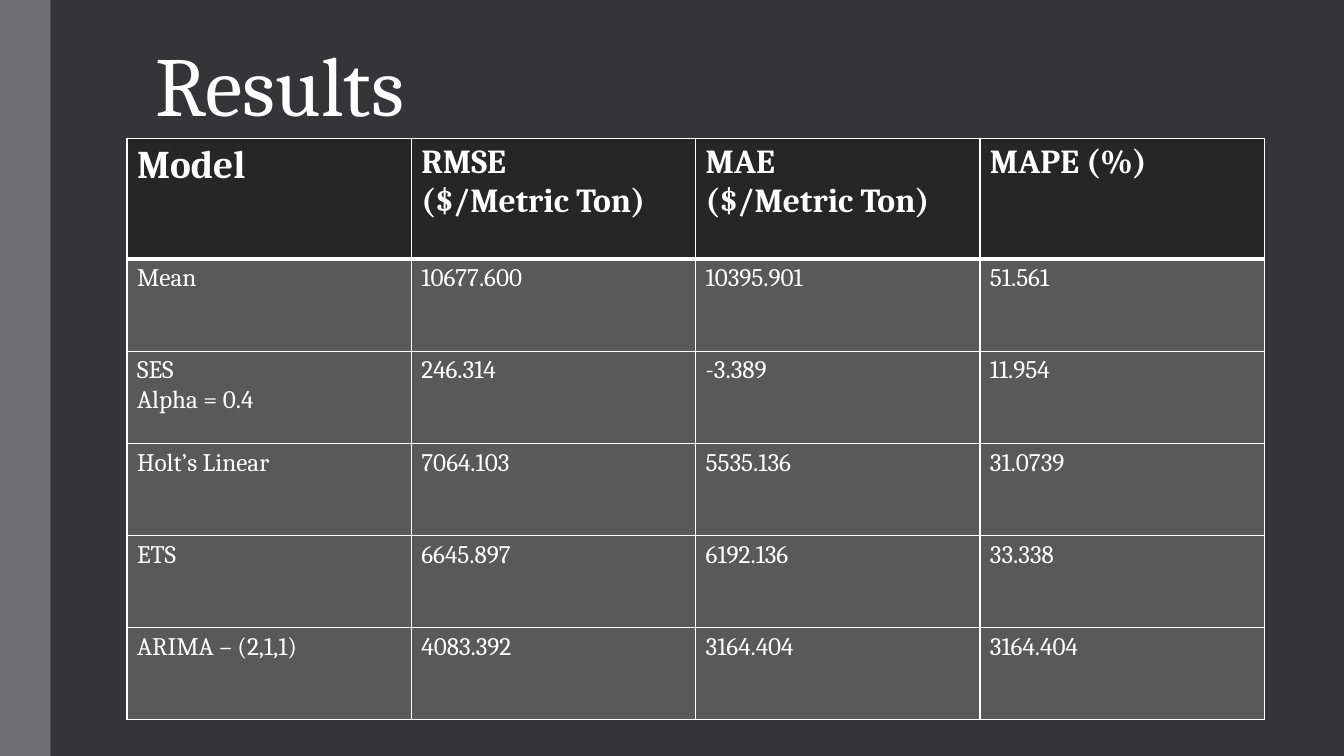
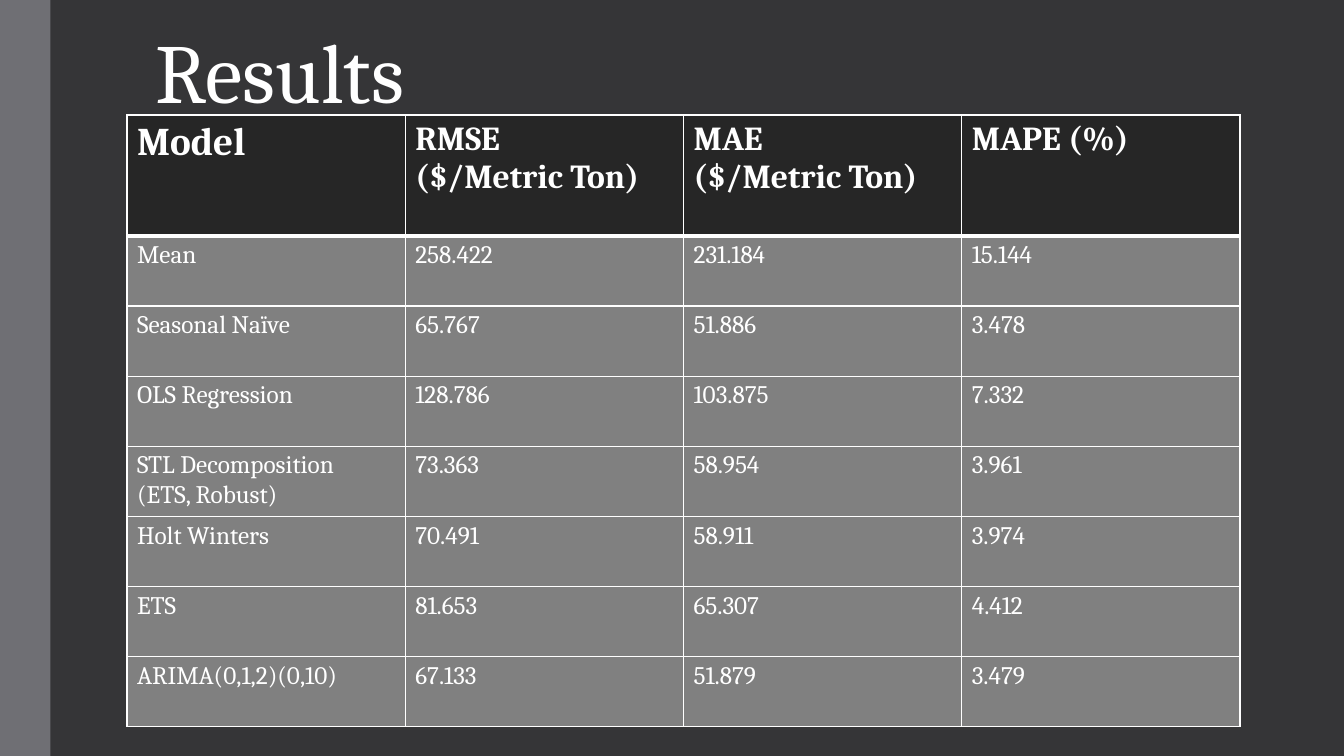
import pptx
import pptx.dml.color
import pptx.enum.shapes
import pptx.enum.text
import pptx.oxml
import pptx.oxml.ns
import pptx.util

COLORS = {
    "background": "353537",
    "band": "6F6F74",
    "header": "262626",
    "dark_body": "595959",
    "light_body": "808080",
    "white": "FFFFFF",
}
FONT = "Cambria"
TITLE_ONLY = 5
SLIDE_WIDTH, SLIDE_HEIGHT = 13.33, 7.5
LEFT = 1.26
TITLE_WIDTH, TITLE_HEIGHT, TITLE_INDENT = 11.81, 1.11, 0.28
HEADER_HEIGHT = 1.2
THIN, THICK = 1, 3

HEADERS = ["Model", "RMSE\n($/Metric Ton)", "MAE\n($/Metric Ton)", "MAPE (%)"]

PRICE_MODELS = [
    ["Mean", "10677.600", "10395.901", "51.561"],
    ["SES\nAlpha = 0.4", "246.314", "-3.389", "11.954"],
    ["Holt’s Linear", "7064.103", "5535.136", "31.0739"],
    ["ETS", "6645.897", "6192.136", "33.338"],
    ["ARIMA – (2,1,1)", "4083.392", "3164.404", "3164.404"],
]

SEASONAL_MODELS = [
    ["Mean", "258.422", "231.184", "15.144"],
    ["Seasonal Naïve", "65.767", "51.886", "3.478"],
    ["OLS Regression", "128.786", "103.875", "7.332"],
    ["STL Decomposition\n(ETS, Robust)", "73.363", "58.954", "3.961"],
    ["Holt Winters", "70.491", "58.911", "3.974"],
    ["ETS", "81.653", "65.307", "4.412"],
    ["ARIMA(0,1,2)(0,10)", "67.133", "51.879", "3.479"],
]


def inches(*lengths):
    return [pptx.util.Inches(length) for length in lengths]


def paint(fill, color):
    fill.solid()
    fill.fore_color.rgb = pptx.dml.color.RGBColor.from_string(COLORS[color])


def write(frame, text, *, size, bold=False, color="white"):
    frame.text = text
    for para in frame.paragraphs:
        para.alignment = pptx.enum.text.PP_ALIGN.LEFT
        for span in para.runs:
            span.font.name = FONT
            span.font.size = pptx.util.Pt(size)
            span.font.bold = bold
            paint(span.font.fill, color)


def set_borders(cell, **widths):
    properties = cell._tc.get_or_add_tcPr()
    for position, side in enumerate("LRTB"):
        width = pptx.util.Pt(widths.get(side, THIN))
        line = pptx.oxml.parse_xml(
            f'<a:ln{side} {pptx.oxml.ns.nsdecls("a")} w="{width}"><a:solidFill>'
            f'<a:srgbClr val="{COLORS["white"]}"/></a:solidFill></a:ln{side}>'
        )
        properties.insert(position, line)


def style_deck(deck):
    paint(deck.slide_master.background.fill, "background")


def move_band_to_layout(page):
    band = page.shapes.add_shape(
        pptx.enum.shapes.MSO_SHAPE.RECTANGLE, *inches(0, 0, 0.5, SLIDE_HEIGHT)
    )
    band.shadow.inherit = False
    paint(band.fill, "band")
    band.line.fill.background()
    band.element.nvSpPr.cNvPr.set("id", "100")
    page.slide_layout.shapes.element.insert(2, band.element)


def add_title(page, text, top):
    title = page.shapes.title
    title.left, title.top, title.width, title.height = inches(
        LEFT, top, TITLE_WIDTH, TITLE_HEIGHT
    )
    frame = title.text_frame
    write(frame, text, size=60)
    frame.word_wrap = True
    frame.auto_size = pptx.enum.text.MSO_AUTO_SIZE.NONE
    frame.vertical_anchor = pptx.enum.text.MSO_ANCHOR.BOTTOM
    frame.margin_left = pptx.util.Inches(TITLE_INDENT)


def add_results(page, models, *, top, width, height, body):
    rows = [HEADERS] + models
    table = page.shapes.add_table(
        len(rows), len(HEADERS), *inches(LEFT, top, width, height)
    ).table
    table.horz_banding = False
    body_height = (height - HEADER_HEIGHT) / len(models)
    for row_index, values in enumerate(rows):
        is_header = row_index == 0
        row_height = HEADER_HEIGHT if is_header else body_height
        table.rows[row_index].height = pptx.util.Inches(row_height)
        for column_index, value in enumerate(values):
            cell = table.cell(row_index, column_index)
            header_size = 28 if column_index == 0 else 24
            size = header_size if is_header else 18
            write(cell.text_frame, value, size=size, bold=is_header)
            paint(cell.fill, "header" if is_header else body)
            set_borders(
                cell,
                T=THICK if row_index == 1 else THIN,
                B=THICK if is_header else THIN,
            )


def main():
    deck = pptx.Presentation()
    deck.slide_width, deck.slide_height = inches(SLIDE_WIDTH, SLIDE_HEIGHT)
    style_deck(deck)
    layout = deck.slide_layouts[TITLE_ONLY]

    price_page = deck.slides.add_slide(layout)
    move_band_to_layout(price_page)
    add_title(price_page, "Results", 0.26)
    add_results(price_page, PRICE_MODELS, top=1.37, width=11.28, height=5.77,
                body="dark_body")

    seasonal_page = deck.slides.add_slide(layout)
    add_title(seasonal_page, "Results", 0.13)
    add_results(seasonal_page, SEASONAL_MODELS, top=1.14, width=11.04, height=6.07,
                body="light_body")

    deck.save("out.pptx")


if __name__ == "__main__":
    main()
